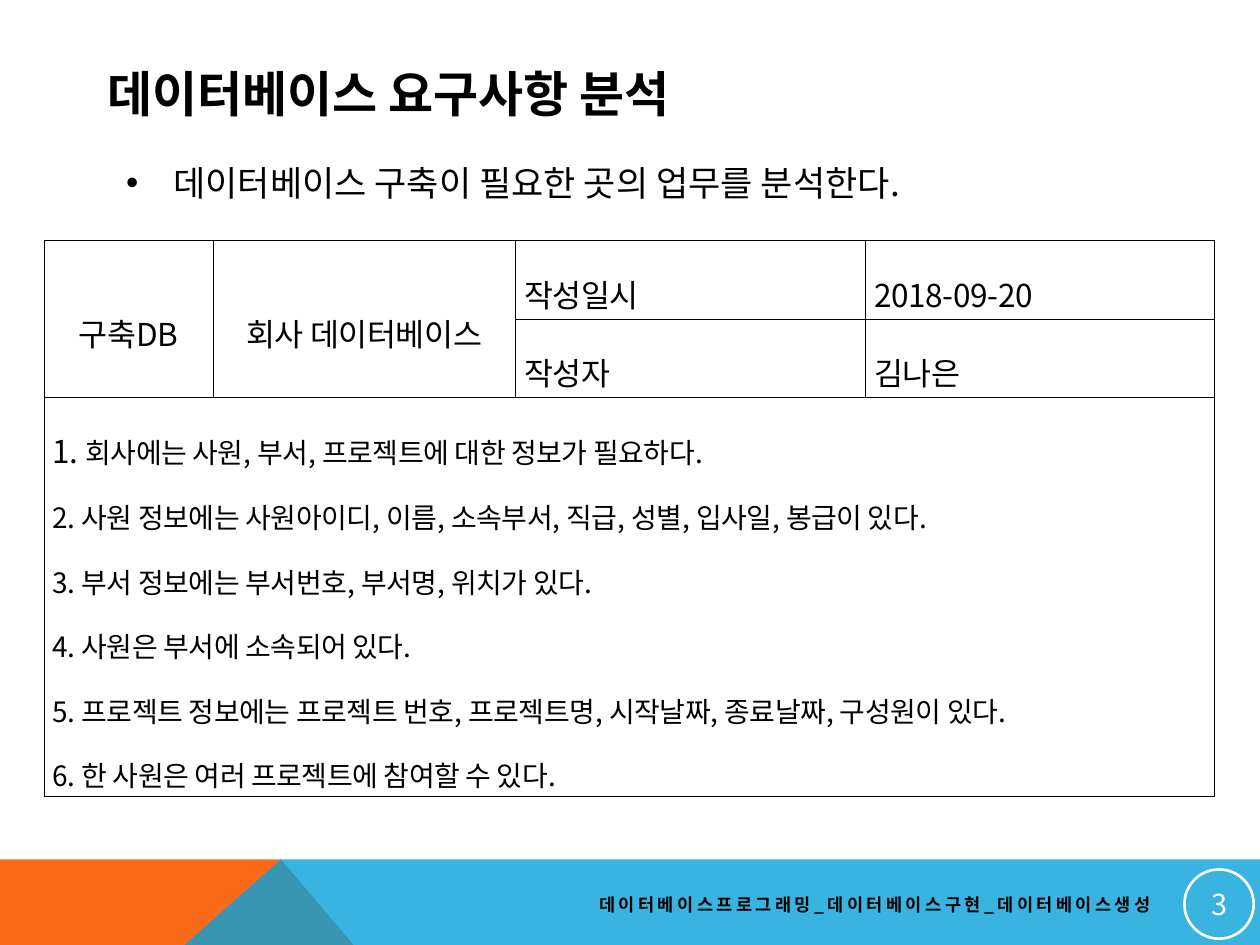
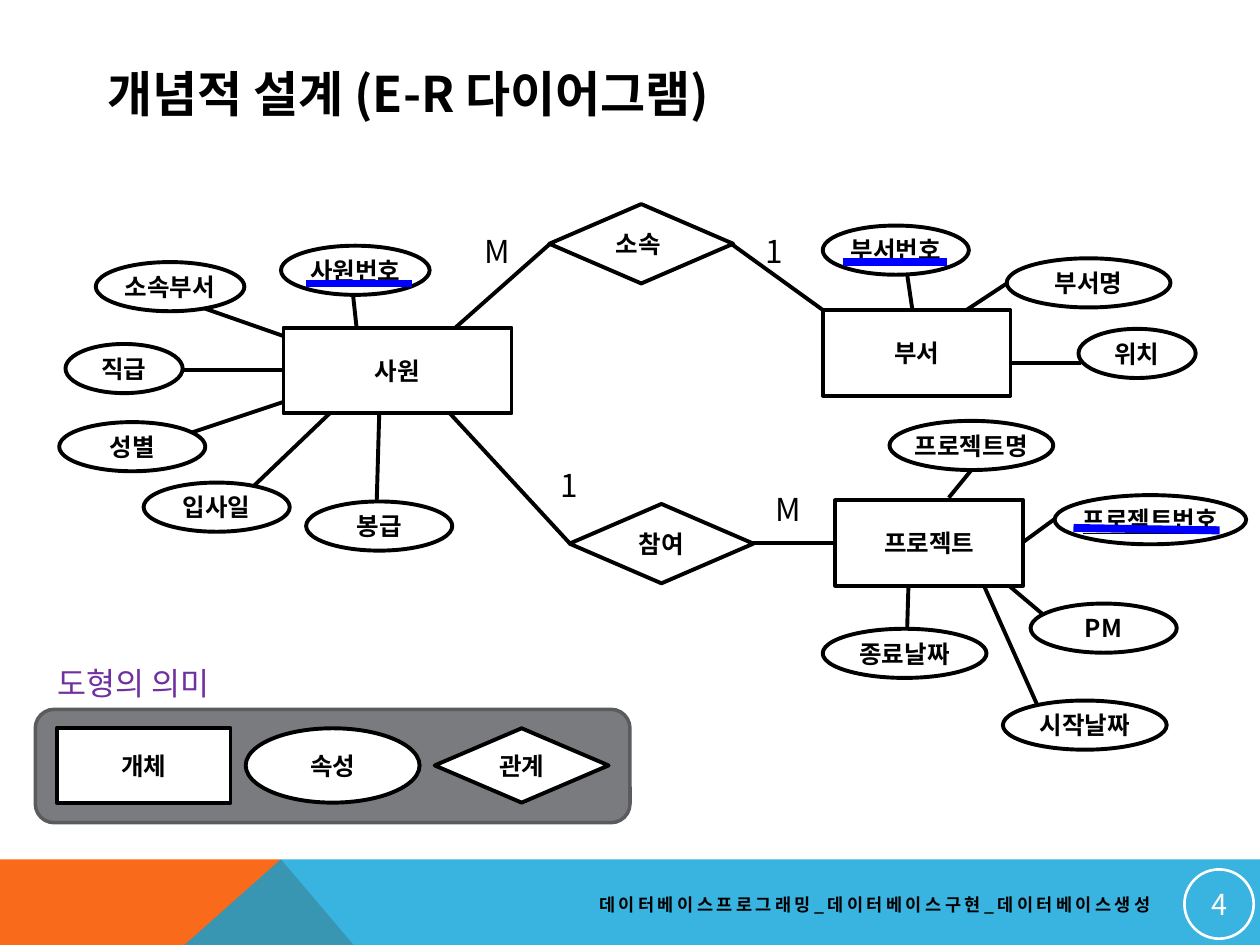
"""Build two database design slides: a requirements table and an E-R diagram."""
from dataclasses import dataclass
from typing import Any, NamedTuple

from lxml import etree
from pptx import Presentation
from pptx import util as u
from pptx.dml import color
from pptx.enum import shapes, text
from pptx.oxml import ns


@dataclass(frozen=True)
class Theme:
    face: str = "Noto Sans CJK KR"
    ink: str = "000000"
    paper: str = "FFFFFF"
    orange: str = "F96A1B"
    blue: str = "08A1D9"
    key: str = "0000FF"
    caption: str = "7030A0"
    panel: str = "797B7E"
    panel_edge: str = "5A5B5D"
    title_size: float = 28
    body_size: float = 20
    label_size: float = 18
    number_size: float = 16.5
    item_size: float = 16
    node_size: float = 14
    footer_size: float = 10
    outline: float = 2.25


class Style(NamedTuple):
    size: float
    ink: str = "000000"
    bold: bool = False
    underline: bool = False
    spacing: float = 0


class Box(NamedTuple):
    x: float
    y: float
    w: float
    h: float


class Node(NamedTuple):
    label: str
    box: Box
    is_key: bool = False


class Link(NamedTuple):
    x1: float
    y1: float
    x2: float
    y2: float


THEME = Theme()
KIND = shapes.MSO_SHAPE
ALIGN = text.PP_ALIGN
ANCHOR = text.MSO_ANCHOR
TITLE_BOX = Box(0.75, 0.44, 8.22, 0.6)
FOOTER = "데이터베이스프로그래밍_데이터베이스구현_데이터베이스생성"
PAGE_W, PAGE_H = 10, 7.5
BAND_TOP, BAND_BLEED, BAND_PEAK = 6.82, 8.8, 2.23


def size(inches: float) -> u.Length:
    return u.Cm(inches * 2.54)


def place(box: Box) -> list[u.Length]:
    return [size(value) for value in box]


def rgb(code: str) -> color.RGBColor:
    return color.RGBColor.from_string(code)


def style_font(font: Any, style: Style) -> None:
    font.size, font.bold, font.underline = u.Pt(style.size), style.bold, style.underline
    font.color.rgb = rgb(style.ink)
    font.name = THEME.face
    etree.SubElement(font._element, ns.qn("a:ea"), typeface=THEME.face)
    if style.spacing:
        font._element.set("spc", str(round(style.spacing * 100)))


def write(paragraph: Any, words: str, style: Style, align: Any = ALIGN.LEFT) -> None:
    paragraph.alignment = align
    run = paragraph.add_run()
    run.text = words
    for font in (paragraph.font, run.font):
        style_font(font, style)


def set_margins(frame: Any, across: float, down: float) -> None:
    frame.margin_left = frame.margin_right = size(across)
    frame.margin_top = frame.margin_bottom = size(down)


def add_figure(owner: Any, kind: Any, box: Box, fill: str | None, edge: str, weight: float) -> Any:
    figure = owner.add_shape(kind, *place(box))
    figure.shadow.inherit = False
    if fill:
        figure.fill.solid()
        figure.fill.fore_color.rgb = rgb(fill)
    else:
        figure.fill.background()
    figure.line.color.rgb = rgb(edge)
    figure.line.width = u.Pt(weight)
    return figure


def add_node(owner: Any, kind: Any, node: Node) -> None:
    figure = add_figure(owner, kind, node.box, THEME.paper, THEME.ink, THEME.outline)
    frame = figure.text_frame
    frame.word_wrap = False
    frame.vertical_anchor = ANCHOR.MIDDLE
    style = Style(THEME.node_size, bold=True, underline=node.is_key)
    write(frame.paragraphs[0], node.label, style, ALIGN.CENTER)


def add_link(slide: Any, link: Link, ink: str = THEME.ink, weight: float = THEME.outline) -> None:
    line = slide.shapes.add_connector(shapes.MSO_CONNECTOR.STRAIGHT, *map(size, link))
    line.line.color.rgb = rgb(ink)
    line.line.width = u.Pt(weight)
    etree.SubElement(line._element.spPr, ns.qn("a:effectLst"))


def add_label(slide: Any, words: str, box: Box, style: Style) -> None:
    frame = slide.shapes.add_textbox(*place(box)).text_frame
    frame.word_wrap = False
    write(frame.paragraphs[0], words, style)


def add_band(slide: Any, points: list[tuple[float, float]], fill: str, opacity: int = 100) -> None:
    start, *rest = [(size(x), size(y)) for x, y in points]
    builder = slide.shapes.build_freeform(*start, scale=1.0)
    builder.add_line_segments(rest, close=True)
    band = builder.convert_to_shape()
    band.shadow.inherit = False
    band.line.fill.background()
    band.fill.solid()
    band.fill.fore_color.rgb = rgb(fill)
    if opacity < 100:
        tint = band._element.spPr.find(".//" + ns.qn("a:srgbClr"))
        etree.SubElement(tint, ns.qn("a:alpha"), val=str(opacity * 1000))


def add_page(deck: Any, layout: int, title: str, number: int) -> Any:
    slide = deck.slides.add_slide(deck.slide_layouts[layout])
    heading = slide.shapes.title
    heading.left, heading.top, heading.width, heading.height = place(TITLE_BOX)
    heading.text_frame.vertical_anchor = ANCHOR.MIDDLE
    heading.text_frame.auto_size = text.MSO_AUTO_SIZE.NONE
    write(heading.text_frame.paragraphs[0], title, Style(THEME.title_size, bold=True))

    peak = (BAND_PEAK, BAND_TOP)
    add_band(slide, [(0, BAND_BLEED), (0, BAND_TOP), peak, (3.91, BAND_BLEED)], THEME.orange)
    add_band(slide, [(0, BAND_BLEED), peak, (PAGE_W, BAND_TOP), (PAGE_W, BAND_BLEED)],
             THEME.blue, 80)

    badge = add_figure(slide.shapes, KIND.OVAL, Box(9.4, 6.9, 0.55, 0.55), None, THEME.paper, 1.5)
    set_margins(badge.text_frame, 0.01, 0.01)
    badge.text_frame.vertical_anchor = ANCHOR.MIDDLE
    write(badge.text_frame.paragraphs[0], str(number),
          Style(THEME.number_size, THEME.paper), ALIGN.CENTER)

    footer = slide.shapes.add_textbox(*place(Box(4.06, 7.03, 5.17, 0.3))).text_frame
    footer.word_wrap = True
    footer.vertical_anchor = ANCHOR.MIDDLE
    write(footer.paragraphs[0], FOOTER, Style(THEME.footer_size, bold=True, spacing=2), ALIGN.RIGHT)
    return slide


def format_cell(cell: Any) -> None:
    cell.fill.background()
    cell.vertical_anchor = ANCHOR.MIDDLE
    set_margins(cell, 0.07, 0.02)
    properties = cell._tc.get_or_add_tcPr()
    for index, side in enumerate(("lnL", "lnR", "lnT", "lnB")):
        border = etree.Element(ns.qn(f"a:{side}"), w=str(u.Pt(0.28)))
        paint = etree.SubElement(border, ns.qn("a:solidFill"))
        etree.SubElement(paint, ns.qn("a:srgbClr"), val=THEME.ink)
        properties.insert(index, border)


def build_requirements(deck: Any) -> None:
    slide = add_page(deck, 1, "데이터베이스 요구사항 분석", 3)
    summary = slide.placeholders[1]
    summary.left, summary.top, summary.width, summary.height = place(Box(0.9, 1.23, 8.22, 0.47))
    summary.text_frame.auto_size = text.MSO_AUTO_SIZE.NONE
    task = summary.text_frame.paragraphs[0]
    task.space_before = u.Pt(8)
    write(task, "데이터베이스 구축이 필요한 곳의 업무를 분석한다.", Style(THEME.body_size))

    form = slide.shapes.add_table(3, 4, *place(Box(0.35, 1.91, 9.29, 4.41))).table
    form.first_row = form.horz_banding = False
    for column, width in zip(form.columns, (1.34, 2.4, 2.78, 2.77)):
        column.width = size(width)
    for row, height in zip(form.rows, (0.62, 0.62, 3.17)):
        row.height = size(height)
    for cell in form.iter_cells():
        format_cell(cell)
    for first, last in (((0, 0), (1, 0)), ((0, 1), (1, 1)), ((2, 0), (2, 3))):
        form.cell(*first).merge(form.cell(*last))

    entry = Style(THEME.label_size, spacing=-0.2)
    fields = {
        (0, 0): ("구축DB", ALIGN.CENTER),
        (0, 1): ("회사 데이터베이스", ALIGN.CENTER),
        (0, 2): ("작성일시", ALIGN.JUSTIFY),
        (0, 3): ("2018-09-20", ALIGN.JUSTIFY),
        (1, 2): ("작성자", ALIGN.JUSTIFY),
        (1, 3): ("김나은", ALIGN.JUSTIFY),
    }
    for position, (words, align) in fields.items():
        line = form.cell(*position).text_frame.paragraphs[0]
        line.line_spacing = 1.6
        write(line, words, entry, align)

    requirements = (
        "회사에는 사원, 부서, 프로젝트에 대한 정보가 필요하다.",
        "사원 정보에는 사원아이디, 이름, 소속부서, 직급, 성별, 입사일, 봉급이 있다.",
        "부서 정보에는 부서번호, 부서명, 위치가 있다.",
        "사원은 부서에 소속되어 있다.",
        "프로젝트 정보에는 프로젝트 번호, 프로젝트명, 시작날짜, 종료날짜, 구성원이 있다.",
        "한 사원은 여러 프로젝트에 참여할 수 있다.",
    )
    item = entry._replace(size=THEME.item_size)
    frame = form.cell(2, 0).text_frame
    for number, words in enumerate(requirements, 1):
        line = frame.paragraphs[0] if number == 1 else frame.add_paragraph()
        line.line_spacing = 1.6
        line.alignment = ALIGN.JUSTIFY
        for part, style in ((f"{number}. ", entry if number == 1 else item), (words, item)):
            run = line.add_run()
            run.text = part
            style_font(run.font, style)


def attribute(label: str, x: float, y: float, w: float, is_key: bool = False) -> Node:
    return Node(label, Box(x, y, w, 0.39), is_key)


LINKS = [
    Link(4.36, 1.94, 3.57, 2.64), Link(5.81, 1.94, 6.53, 2.46),
    Link(4.52, 4.31, 3.57, 3.28), Link(6.77, 4.31, 5.93, 4.31),
    Link(1.34, 2.94, 2.28, 2.94), Link(1.5, 3.44, 2.43, 3.13),
    Link(1.99, 3.88, 2.67, 3.23), Link(1.6, 2.44, 2.43, 2.73),
    Link(2.8, 2.32, 2.83, 2.6), Link(2.99, 3.98, 3.01, 3.28),
    Link(7.58, 2.52, 7.99, 2.25), Link(8.58, 2.88, 7.97, 2.88),
    Link(7.2, 2.18, 7.24, 2.45), Link(7.2, 4.98, 7.21, 4.65),
    Link(8.37, 4.12, 8.11, 4.31), Link(7.71, 3.73, 7.53, 3.95),
    Link(7.95, 4.6, 8.27, 4.87), Link(7.81, 4.65, 8.23, 5.59),
]
NODES = {
    KIND.RECTANGLE: [
        Node("사원", Box(2.25, 2.6, 1.81, 0.68)),
        Node("부서", Box(6.53, 2.46, 1.49, 0.68)),
        Node("프로젝트", Box(6.63, 3.97, 1.49, 0.68)),
    ],
    KIND.DIAMOND: [
        Node("소속 ", Box(4.36, 1.62, 1.46, 0.63)),
        Node("참여", Box(4.52, 4, 1.46, 0.63)),
    ],
    KIND.OVAL: [
        attribute("소속부서", 0.76, 2.08, 1.18), attribute("사원번호", 2.23, 1.95, 1.18, True),
        attribute("직급", 0.52, 2.73, 0.93), attribute("성별", 0.47, 3.35, 1.16),
        attribute("입사일", 1.14, 3.83, 1.16), attribute("봉급", 2.43, 3.98, 1.16),
        attribute("부서번호", 6.53, 1.79, 1.16, True), attribute("부서명", 7.99, 2.05, 1.3),
        attribute("위치", 8.56, 2.61, 0.93), attribute("프로젝트명", 7.06, 3.34, 1.3),
        attribute("프로젝트번호", 8.37, 3.93, 1.52, True), attribute("PM", 8.18, 4.79, 1.16),
        attribute("시작날짜", 7.96, 5.56, 1.3), attribute("종료날짜", 6.53, 4.99, 1.3),
    ],
}
KEY_BARS = [Link(2.43, 2.25, 3.27, 2.25), Link(6.69, 2.08, 7.52, 2.08), Link(8.52, 4.19, 9.68, 4.21)]
CARDINALITIES = [("M", 3.75, 1.79, 0.43), ("1", 5.98, 1.79, 0.34),
                 ("1", 4.35, 3.65, 0.34), ("M", 6.06, 3.84, 0.43)]
LEGEND = [("개체", KIND.RECTANGLE), ("속성", KIND.OVAL), ("관계", KIND.FLOWCHART_DECISION)]


def build_diagram(deck: Any) -> None:
    slide = add_page(deck, 5, "개념적 설계 (E-R 다이어그램)", 4)
    for link in LINKS:
        add_link(slide, link)
    for kind, nodes in NODES.items():
        for node in nodes:
            add_node(slide.shapes, kind, node)
    for bar in KEY_BARS:
        add_link(slide, bar, THEME.key, 4.5)
    for mark, x, y, w in CARDINALITIES:
        add_label(slide, mark, Box(x, y, w, 0.4), Style(THEME.label_size))

    add_label(slide, "도형의 의미", Box(0.36, 5.22, 1.55, 0.4), Style(THEME.label_size, THEME.caption))
    add_figure(slide.shapes, KIND.ROUNDED_RECTANGLE, Box(0.28, 5.63, 4.72, 0.9),
               THEME.panel, THEME.panel_edge, 2)
    legend = slide.shapes.add_group_shape().shapes
    for index, (label, kind) in enumerate(LEGEND):
        add_node(legend, kind, Node(label, Box(0.45 + 1.5 * index, 5.78, 1.38, 0.59)))


def main() -> None:
    deck = Presentation()
    deck.slide_width, deck.slide_height = size(PAGE_W), size(PAGE_H)
    build_requirements(deck)
    build_diagram(deck)
    deck.save("out.pptx")


main()
